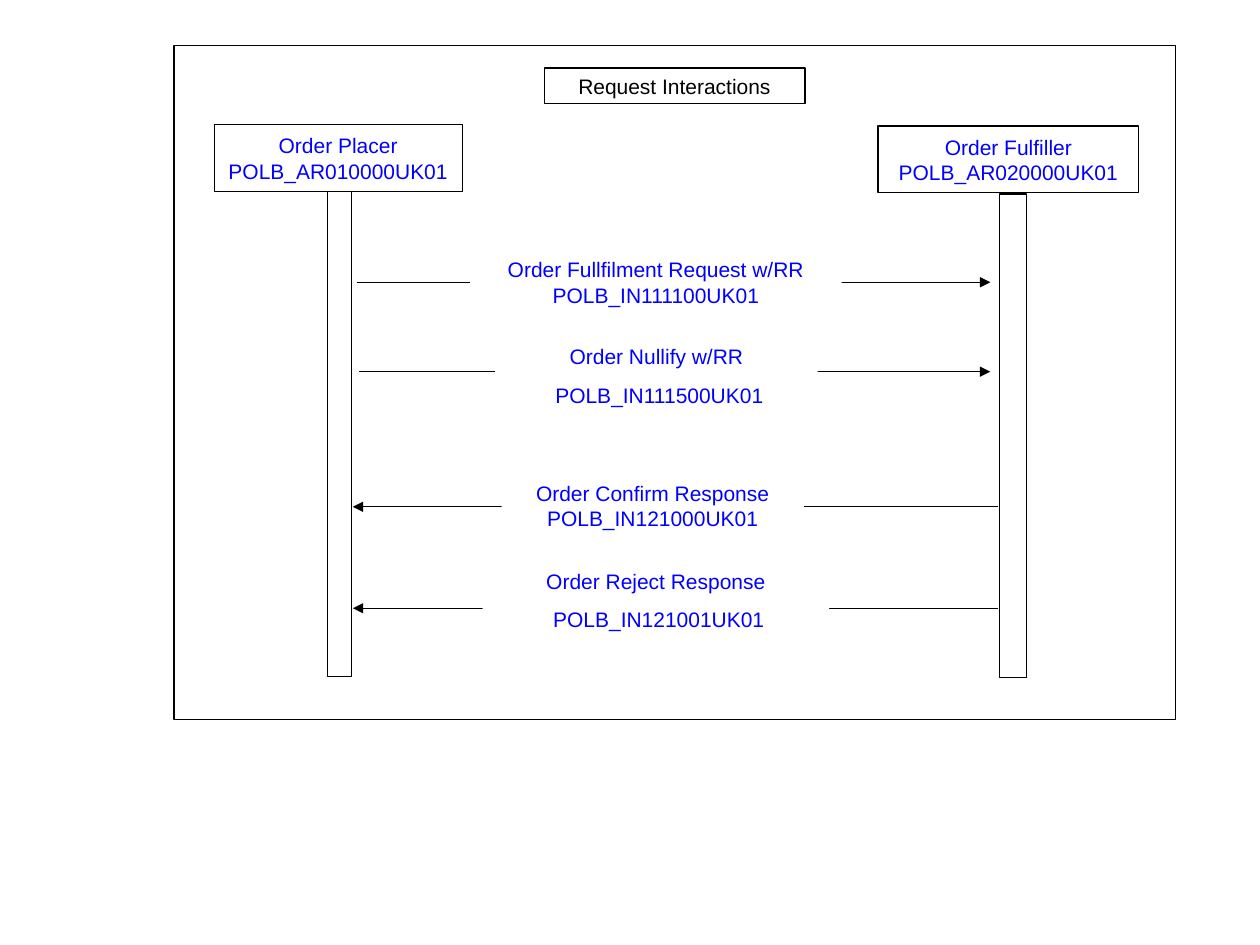
from lxml import etree
from pptx import Presentation
from pptx import util as u
from pptx.dml.color import RGBColor
from pptx.enum import shapes, text
from pptx.oxml.ns import qn

BLACK, WHITE, BLUE = "000000", "FFFFFF", "0000FF"
LINE_WIDTH = 0.74
WIDE = (7.2, 3.6)  # horizontal and vertical text margins
NONE = (0, 0)

TITLE = ("Request Interactions", (311, 38.9, 149, 20.2))
FRAME = (99.4, 25.9, 572.4, 385.2)

# role lines, role box, lifeline box
ROLES = [
    (["Order Placer", "POLB_AR010000UK01"],
     (122.4, 71.3, 141.8, 38.2), (187.2, 109.6, 13.9, 277.2)),
    (["Order Fulfiller", "POLB_AR020000UK01"],
     (501.8, 72, 149, 38.2), (571, 110.9, 15.8, 276.5)),
]

# label lines, label box, margins, spaced paragraphs, arrow start x, end x, y
MESSAGES = [
    (["Order Fullfilment Request w/RR", "POLB_IN111100UK01"],
     (268.6, 141.8, 212.4, 38.9), NONE, False, 203.8, 565.9, 161.3),
    (["Order Nullify w/RR", " POLB_IN111500UK01"],
     (283, 193, 184.3, 43.9), WIDE, True, 205.2, 565.9, 212.4),
    (["Order Confirm Response", "POLB_IN121000UK01"],
     (286.6, 269.3, 172.8, 39.6), WIDE, False, 570.2, 201.6, 289.6),
    (["Order Reject Response", " POLB_IN121001UK01"],
     (275.8, 321.1, 198, 43.9), WIDE, True, 570.2, 201.6, 347.6),
]


def rgb(code):
    """Turn a hex string into a colour."""
    return RGBColor.from_string(code)


def outline(part):
    """Give a shape or connector the thin black line."""
    part.line.color.rgb = rgb(BLACK)
    part.line.width = u.Pt(LINE_WIDTH)


def write(part, lines, color, margins=WIDE, spaced=False):
    """Write centred lines; spaced ones start at the top with gaps between."""
    frame = part.text_frame
    frame.word_wrap = True
    frame.auto_size = text.MSO_AUTO_SIZE.NONE
    frame.margin_left = frame.margin_right = u.Pt(margins[0])
    frame.margin_top = frame.margin_bottom = u.Pt(margins[1])
    frame.vertical_anchor = text.MSO_ANCHOR.TOP if spaced else text.MSO_ANCHOR.MIDDLE
    for number, line in enumerate(lines):
        paragraph = frame.add_paragraph() if number else frame.paragraphs[0]
        paragraph.alignment = text.PP_ALIGN.CENTER
        paragraph.space_before = u.Pt(7.5 if spaced else 0)
        run = paragraph.add_run()
        run.text = line
        run.font.name, run.font.size = "Arial", u.Pt(12)
        run.font.color.rgb = rgb(color)


def add_box(slide, place, fill=None):
    """Add a rectangle: filled without a line, or outlined without a fill."""
    box = slide.shapes.add_shape(shapes.MSO_SHAPE.RECTANGLE, *map(u.Pt, place))
    box.shadow.inherit = False
    if fill:
        box.fill.solid()
        box.fill.fore_color.rgb = rgb(fill)
        box.line.fill.background()
    else:
        box.fill.background()
        outline(box)
    return box


def add_arrow(slide, start, end, y):
    """Add a horizontal arrow from start to end."""
    arrow = slide.shapes.add_connector(
        shapes.MSO_CONNECTOR.STRAIGHT, u.Pt(start), u.Pt(y), u.Pt(end), u.Pt(y))
    outline(arrow)
    etree.SubElement(arrow.line._get_or_add_ln(), qn("a:tailEnd"), type="triangle")
    etree.SubElement(arrow._element.spPr, qn("a:effectLst"))


def build():
    """Build the interaction diagram and save it."""
    deck = Presentation()
    deck.slide_width, deck.slide_height = u.Pt(720), u.Pt(540)
    slide = deck.slides.add_slide(deck.slide_layouts[5])

    words, place = TITLE
    title = slide.shapes.title
    title.left, title.top, title.width, title.height = map(u.Pt, place)
    outline(title)
    write(title, [words], BLACK, (5.8, 2.9), spaced=True)

    add_box(slide, FRAME)
    for lines, role, lifeline in ROLES:
        write(add_box(slide, role), lines, BLUE)
        add_box(slide, lifeline)
    for lines, label, margins, spaced, start, end, y in MESSAGES:
        add_arrow(slide, start, end, y)
        write(add_box(slide, label, WHITE), lines, BLUE, margins, spaced)

    deck.save("out.pptx")


build()
